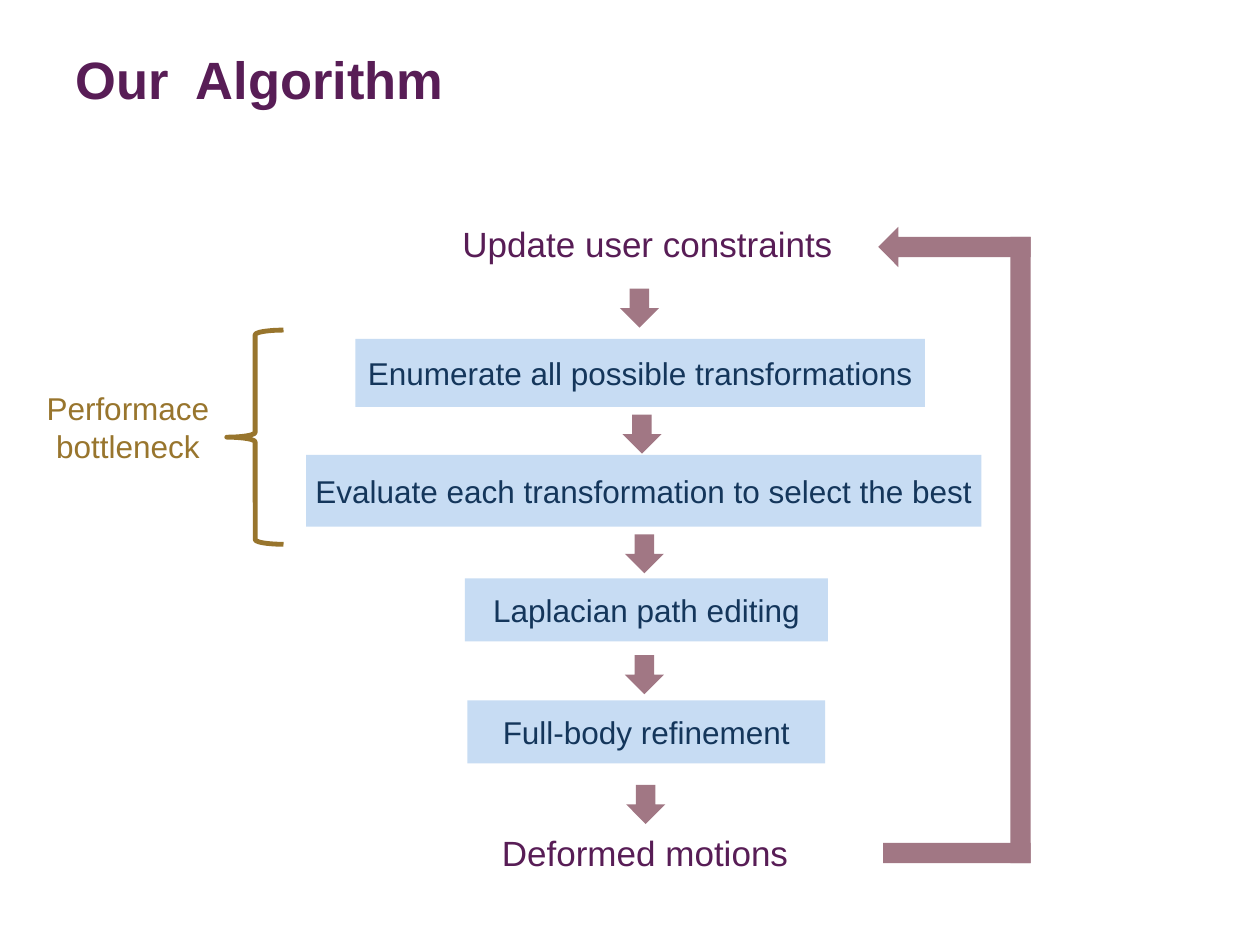
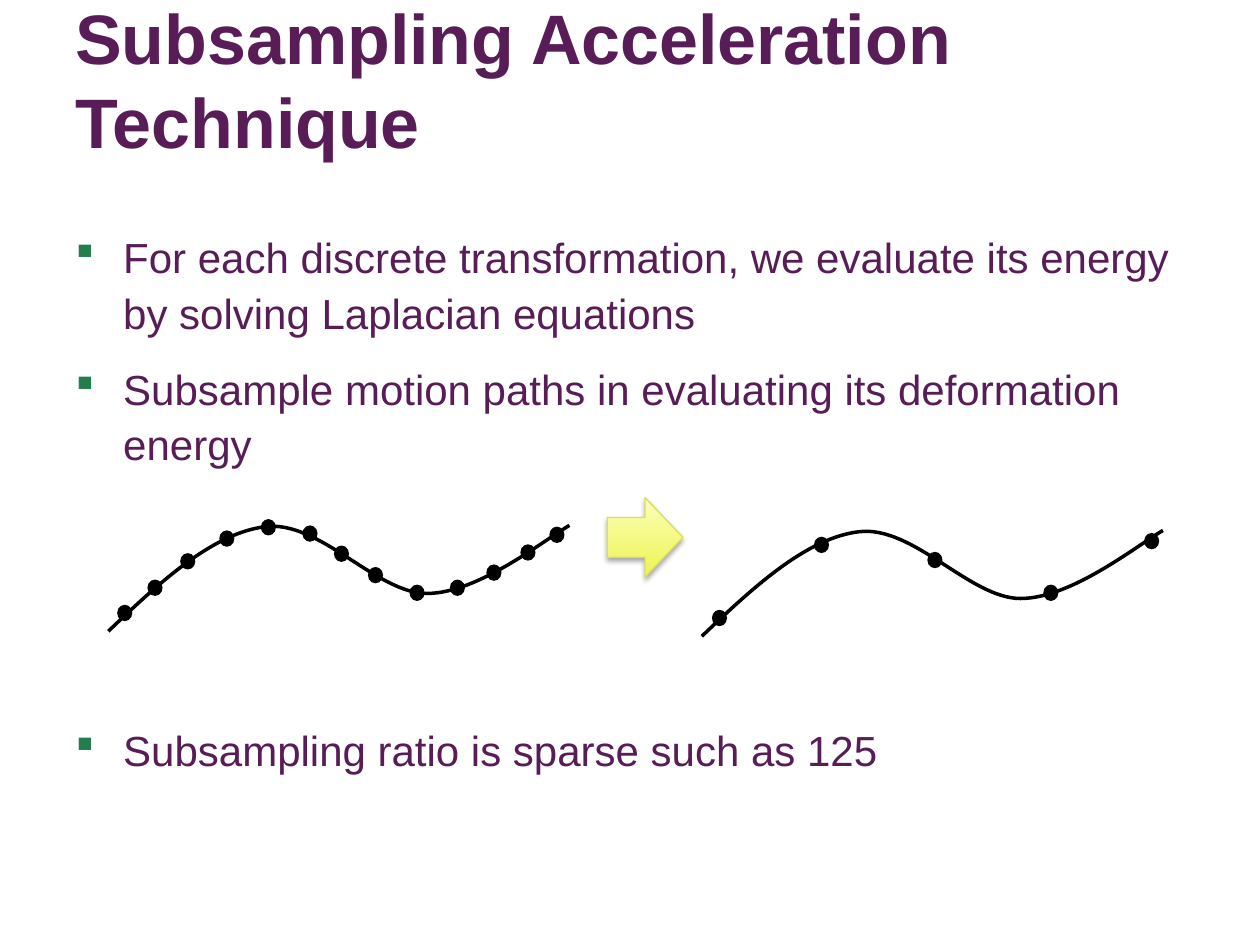
from itertools import chain
from lxml import etree
from pptx import Presentation
from pptx.dml.color import RGBColor
from pptx.enum.shapes import MSO_SHAPE as Shape
from pptx.enum.text import MSO_ANCHOR as Anchor, PP_ALIGN as Align
from pptx.oxml import parse_xml
from pptx.oxml.ns import nsdecls, qn
from pptx.util import Inches, Pt

FONT = "Arial"
COLORS = {
    "plum": "581D56",
    "mauve": "A17784",
    "sky": "C7DCF3",
    "navy": "14365B",
    "ochre": "98752D",
    "bullet": "247D4C",
    "black": "000000",
    "arrow_deep": "EDF452",
    "arrow_pale": "FBFFB8",
    "arrow_edge": "DADF60",
}
TITLE_BOX = (0.5, 0.3, 9, 0.65)
ARROW_SIZE = 0.31
DOT_SIZE = (0.12, 0.13)

STEPS = [
    ("Enumerate all possible transformations", (2.82, 2.69, 4.52, 0.54)),
    ("Evaluate each transformation to select the best", (2.43, 3.61, 5.36, 0.57)),
    ("Laplacian path editing", (3.69, 4.59, 2.88, 0.5)),
    ("Full-body refinement", (3.71, 5.56, 2.84, 0.5)),
]
STEP_ARROWS = [(4.92, 2.29), (4.94, 3.29), (4.96, 4.24), (4.96, 5.2), (4.97, 6.23)]

PATH_START = (0, 0.89)
PATH_CURVES = [
    ((0.41, 0.5), (0.83, 0.11), (1.25, 0.06)),
    ((1.68, 0.01), (2.13, 0.59), (2.53, 0.59)),
    ((2.93, 0.59), (3.44, 0.18), (3.66, 0.05)),
]
ALL_SAMPLES = [
    (0.07, 0.68), (0.31, 0.48), (0.57, 0.27), (0.88, 0.09), (1.21, 0),
    (1.54, 0.05), (1.79, 0.21), (2.06, 0.38), (2.39, 0.52), (2.71, 0.48),
    (3, 0.36), (3.27, 0.2), (3.5, 0.06),
]
SPARSE_SAMPLES = [(0.08, 0.68), (0.89, 0.1), (1.79, 0.22), (2.71, 0.48), (3.51, 0.07)]


def rgb(name):
    return RGBColor.from_string(COLORS[name])


def write_text(frame, text, size=18, color="plum", bold=False, align=Align.LEFT,
               anchor=Anchor.TOP, wrap=True, bullet=False, spacing=None, after=0):
    frame.word_wrap = wrap
    frame.vertical_anchor = anchor
    for index, line in enumerate(text.split("\n")):
        paragraph = frame.paragraphs[0] if index == 0 else frame.add_paragraph()
        paragraph.alignment = align
        paragraph.line_spacing = spacing
        paragraph.space_after = Pt(after)
        if bullet:
            add_bullet(paragraph)
        run = paragraph.add_run()
        run.text = line
        run.font.name = FONT
        run.font.size = Pt(size)
        run.font.bold = bold
        run.font.color.rgb = rgb(color)


def add_bullet(paragraph):
    properties = paragraph._p.get_or_add_pPr()
    properties.set("marL", str(Inches(0.38)))
    properties.set("indent", str(-Inches(0.38)))
    color = etree.SubElement(properties, qn("a:buClr"))
    etree.SubElement(color, qn("a:srgbClr"), val=COLORS["bullet"])
    etree.SubElement(properties, qn("a:buFont"), typeface="Wingdings", charset="2")
    etree.SubElement(properties, qn("a:buChar"), char="§")


def add_text(slide, box, text, **style):
    text_box = slide.shapes.add_textbox(*map(Inches, box))
    write_text(text_box.text_frame, text, **style)


def add_block(slide, kind, box, fill=None, line=None, weight=1):
    shape = slide.shapes.add_shape(kind, *map(Inches, box))
    shape.shadow.inherit = False
    if fill:
        shape.fill.solid()
        shape.fill.fore_color.rgb = rgb(fill)
    else:
        shape.fill.background()
    if line:
        shape.line.color.rgb = rgb(line)
        shape.line.width = Pt(weight)
    else:
        shape.line.fill.background()
    return shape


def add_title(slide, text, size):
    add_text(slide, TITLE_BOX, text, size=size, bold=True, anchor=Anchor.MIDDLE)


def add_flow(slide):
    endpoints = [("Update user constraints", 2.56, 1.72), ("Deformed motions", 2.54, 6.55)]
    for text, left, top in endpoints:
        add_text(slide, (left, top, 5.16, 0.44), text, size=20, align=Align.CENTER)
    for text, box in STEPS:
        step = add_block(slide, Shape.RECTANGLE, box, fill="sky")
        write_text(step.text_frame, text, color="navy", align=Align.CENTER,
                   anchor=Anchor.MIDDLE, wrap=False)
    for left, top in STEP_ARROWS:
        add_block(slide, Shape.DOWN_ARROW, (left, top, ARROW_SIZE, ARROW_SIZE), fill="mauve")


def add_feedback_loop(slide, left, top, width, height):
    bar, head = 0.16, 0.32
    add_block(slide, Shape.LEFT_ARROW, (left, top, 1.21, head), fill="mauve")
    add_block(slide, Shape.RECTANGLE,
              (left + width - bar, top + head / 4, bar, height - head / 4), fill="mauve")
    add_block(slide, Shape.RECTANGLE,
              (left + 0.04, top + height - bar, width - 0.04, bar), fill="mauve")


def add_bottleneck(slide, left, top, height):
    add_block(slide, Shape.LEFT_BRACE, (left + 1.68, top, 0.45, height),
              line="ochre", weight=2.75)
    add_text(slide, (left, top + 0.42, 1.79, 0.71), "Performace\nbottleneck",
             color="ochre", align=Align.CENTER)


def bend_segments(shape):
    path = next(shape._element.iter(qn("a:path")))
    segments = path.findall(qn("a:lnTo"))
    for first in range(0, len(segments), 3):
        curve = etree.SubElement(path, qn("a:cubicBezTo"))
        for segment in segments[first:first + 3]:
            curve.append(segment[0])
            path.remove(segment)


def add_motion_path(slide, left, top, samples):
    def place(point):
        return Inches(left + point[0]), Inches(top + point[1])

    builder = slide.shapes.build_freeform(*place(PATH_START))
    builder.add_line_segments(map(place, chain(*PATH_CURVES)), close=False)
    motion_path = builder.convert_to_shape()
    bend_segments(motion_path)
    motion_path.shadow.inherit = False
    motion_path.fill.background()
    motion_path.line.color.rgb = rgb("black")
    motion_path.line.width = Pt(2)
    for x, y in samples:
        add_block(slide, Shape.OVAL, (left + x, top + y, *DOT_SIZE), fill="black")


def add_subsampling_arrow(slide, box):
    arrow = add_block(slide, Shape.RIGHT_ARROW, box, line="arrow_edge", weight=0.75)
    arrow.fill.gradient()
    arrow.fill.gradient_angle = 90
    for stop, position, color in zip(arrow.fill.gradient_stops, (0, 1),
                                     ("arrow_deep", "arrow_pale")):
        stop.position = position
        stop.color.rgb = rgb(color)
    effects = arrow._element.spPr.find(qn("a:effectLst"))
    effects.append(parse_xml(
        f'<a:outerShdw {nsdecls("a")} blurRad="{Pt(3.1)}" dist="{Pt(1.8)}" '
        f'dir="5400000" rotWithShape="0"><a:srgbClr val="{COLORS["black"]}">'
        '<a:alpha val="35000"/></a:srgbClr></a:outerShdw>'))


def build_algorithm_slide(slide):
    add_flow(slide)
    add_feedback_loop(slide, 6.97, 1.8, 1.21, 5.05)
    add_bottleneck(slide, 0.12, 2.62, 1.7)
    add_title(slide, "Our  Algorithm", 30)


def build_subsampling_slide(slide):
    add_title(slide, "Subsampling Acceleration Technique", 40)
    bullets = [
        (1.75, 2.1, "For each discrete transformation, we evaluate its energy by solving "
                    "Laplacian equations\n"
                    "Subsample motion paths in evaluating its deformation energy"),
        (5.66, 0.6, "Subsampling ratio is sparse such as 125"),
    ]
    for top, height, text in bullets:
        add_text(slide, (0.5, top, 9, height), text, size=24, bullet=True,
                 spacing=1.1, after=12)
    add_motion_path(slide, 0.86, 4.12, ALL_SAMPLES)
    add_subsampling_arrow(slide, (4.82, 3.95, 0.6, 0.63))
    add_motion_path(slide, 5.57, 4.16, SPARSE_SAMPLES)


def main():
    presentation = Presentation()
    presentation.slide_width = Inches(10)
    presentation.slide_height = Inches(7.5)
    for build in (build_algorithm_slide, build_subsampling_slide):
        build(presentation.slides.add_slide(presentation.slide_layouts[6]))
    presentation.save("out.pptx")


if __name__ == "__main__":
    main()
